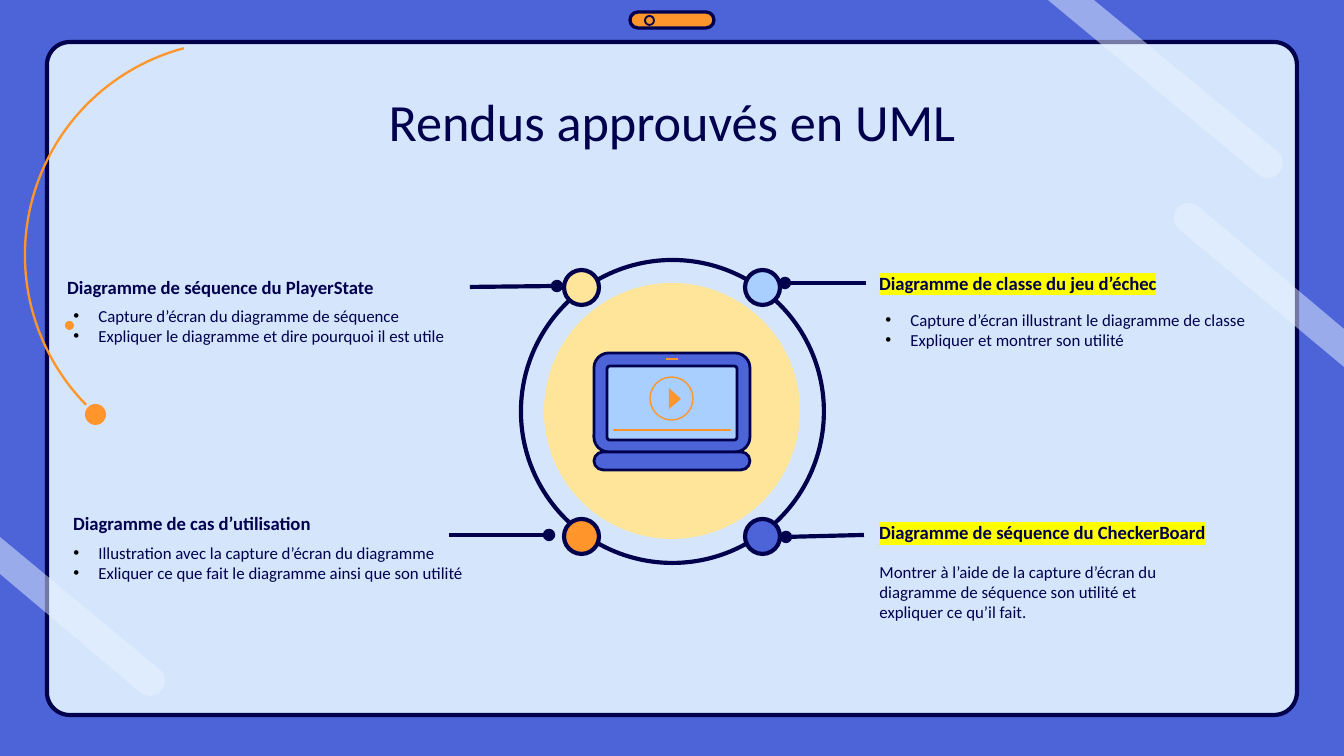
import math

from pptx import Presentation
from pptx import util as u
from pptx.dml.color import RGBColor
from pptx.enum import shapes, text
from pptx.oxml import ns
from lxml import etree

NAVY = RGBColor(0x00, 0x00, 0x4D)
BLUE = RGBColor(0x4C, 0x64, 0xD8)
SKY = RGBColor(0xA8, 0xCF, 0xFF)
PALE = RGBColor(0xD5, 0xE6, 0xFC)
GLOSS = RGBColor(0xE9, 0xF3, 0xFF)
ORANGE = RGBColor(0xFF, 0x95, 0x2B)
CREAM = RGBColor(0xFF, 0xE5, 0x99)
YELLOW = RGBColor(0xFF, 0xFF, 0x00)
BLACK = RGBColor(0x00, 0x00, 0x00)
PX = 914400 / 134.4
KIND = shapes.MSO_SHAPE
SIDES = ("left", "top", "width", "height")


def style(sp, fill, line=None, weight=0):
    sp.shadow.inherit = False
    if fill is None:
        sp.fill.background()
    else:
        sp.fill.solid()
        sp.fill.fore_color.rgb = fill
    if line is None:
        sp.line.fill.background()
    else:
        sp.line.color.rgb = line
        sp.line.width = u.Pt(weight)


def write(sp, box, lines, size, bold=False, align=text.PP_ALIGN.LEFT, bullet=False):
    for side, value in zip(SIDES, box):
        setattr(sp, side, round(value * PX))
    tf = sp.text_frame
    frame = {"word_wrap": True, "auto_size": text.MSO_AUTO_SIZE.NONE,
             "vertical_anchor": text.MSO_ANCHOR.MIDDLE}
    frame.update({f"margin_{m}": u.Inches(0.1) for m in ("left", "right", "top", "bottom")})
    for name, value in frame.items():
        setattr(tf, name, value)
    for i, line in enumerate(lines):
        p = tf.add_paragraph() if i else tf.paragraphs[0]
        for name, value in {"alignment": align, "space_before": u.Pt(0), "line_spacing": 1.0}.items():
            setattr(p, name, value)
        r = p.add_run()
        r.text = line
        for name, value in {"name": "Calibri", "size": u.Pt(size), "bold": bold}.items():
            setattr(r.font, name, value)
        r.font.color.rgb = NAVY
        pPr = p._p.get_or_add_pPr()
        indent = round(25 * PX) if bullet else 0
        pPr.set("marL", str(indent))
        pPr.set("indent", str(-indent))
        if bullet:
            color = etree.SubElement(pPr, ns.qn("a:buClr"))
            etree.SubElement(color, ns.qn("a:srgbClr"), val=str(BLACK))
            etree.SubElement(pPr, ns.qn("a:buFont"), typeface="Arial")
            etree.SubElement(pPr, ns.qn("a:buChar"), char="•")
        else:
            etree.SubElement(pPr, ns.qn("a:buNone"))


prs = Presentation()
prs.slide_width, prs.slide_height = round(1344 * PX), round(756 * PX)
s = prs.slides.add_slide(prs.slide_layouts[4])
s.background.fill.solid()
s.background.fill.fore_color.rgb = BLUE

backdrop = [
    (KIND.ROUNDED_RECTANGLE, (47, 42, 1250, 673), [0.034], PALE, NAVY, 2.25),
    (KIND.ROUNDED_RECTANGLE, (630, 12, 84, 16), [0.5], ORANGE, NAVY, 1.75),
    (KIND.OVAL, (645, 16, 9, 9), [], None, NAVY, 1),
    (KIND.ARC, (25, 41, 428, 428), [135.6 * 0.6, 255.1 * 0.6], None, ORANGE, 1.25),
    (KIND.OVAL, (65, 321, 9, 9), [], ORANGE, None, 0),
    (KIND.OVAL, (85, 404, 21, 21), [], ORANGE, None, 0),
]
emblem = [
    (KIND.OVAL, (544, 283, 256, 256), [], CREAM, None, 0),
    (KIND.OVAL, (521, 260, 303, 303), [], None, NAVY, 2.25),
    (KIND.ROUNDED_RECTANGLE, (594, 353, 156, 99), [0.15], BLUE, NAVY, 1.5),
    (KIND.ROUNDED_RECTANGLE, (607, 366, 130, 74), [0.04], SKY, NAVY, 1.5),
    (KIND.OVAL, (650, 377, 43, 43), [], None, ORANGE, 0.75),
    (KIND.ROUNDED_RECTANGLE, (594, 452, 156, 18), [0.5], BLUE, NAVY, 1.5),
]
nodes = [(KIND.OVAL, (x, y, 35, 35), [], color, NAVY, 2.25)
         for x, y, color in [(564, 270, CREAM), (745, 270, SKY),
                             (564, 519, ORANGE), (745, 519, BLUE)]]

for kind, box, adjustments, fill, line, weight in backdrop + emblem:
    sp = s.shapes.add_shape(kind, *(round(v * PX) for v in box))
    for i, value in enumerate(adjustments):
        sp.adjustments[i] = value
    style(sp, fill, line, weight)

stripes = [
    ((1048, 0), (1268, 163), 40, (1094, 0)),
    ((0, 574), (150, 681), 40, (0, 537)),
    ((1344, 329), (1189, 218), 220, (1344, 367)),
]
outlines = [([(669, 388), (669, 409), (681, 399)], ORANGE)]
for start, (cx, cy), facing, end in stripes:
    turns = [math.radians(facing + 90 - 15 * i) for i in range(13)]
    cap = [(cx + 15 * math.cos(a), cy + 15 * math.sin(a)) for a in turns]
    outlines.append(([start, *cap, end], GLOSS))
for points, fill in outlines:
    points = [(round(x * PX), round(y * PX)) for x, y in points]
    builder = s.shapes.build_freeform(*points[0], scale=1.0)
    builder.add_line_segments(points[1:], close=True)
    sp = builder.convert_to_shape()
    style(sp, fill)
    if fill == GLOSS:
        color = sp._element.spPr.find(".//" + ns.qn("a:srgbClr"))
        etree.SubElement(color, ns.qn("a:alpha"), val="50000")

title, *bodies = s.placeholders
s.shapes._spTree.append(title._element)
write(title, (106, 78, 1132, 85), ["Rendus approuvés en UML"], 28, align=text.PP_ALIGN.CENTER)

topics = [
    ("Diagramme de séquence du PlayerState", (54, 270, 416, 34), False,
     ["Capture d’écran du diagramme de séquence",
      "Expliquer le diagramme et dire pourquoi il est utile"], (60, 298, 417, 55)),
    ("Diagramme de classe du jeu d’échec", (866, 263, 365, 40), True,
     ["Capture d’écran illustrant le diagramme de classe",
      "Expliquer et montrer son utilité"], (872, 296, 422, 68)),
    ("Diagramme de cas d’utilisation", (60, 506, 356, 35), False,
     ["Illustration avec la capture d’écran du diagramme",
      "Exliquer ce que fait le diagramme ainsi que son utilité"], (60, 530, 458, 66)),
    ("Diagramme de séquence du CheckerBoard", (866, 515, 422, 34), True,
     ["Montrer à l’aide de la capture d’écran du diagramme de séquence "
      "son utilité et expliquer ce qu’il fait."], (866, 548, 305, 88)),
]
headings = []
for body, (heading, heading_box, marked, lines, body_box) in zip(bodies, topics):
    s.shapes._spTree.append(body._element)
    write(body, body_box, lines, 9, bullet=len(lines) > 1)
    sp = s.shapes.add_textbox(0, 0, 0, 0)
    write(sp, heading_box, [heading], 10, bold=True)
    headings.append(sp)
    if marked:
        rPr = sp.text_frame.paragraphs[0].runs[0]._r.rPr
        mark = etree.Element(ns.qn("a:highlight"))
        etree.SubElement(mark, ns.qn("a:srgbClr"), val=str(YELLOW))
        rPr.find(ns.qn("a:solidFill")).addnext(mark)

lines = [
    ((470, 288, 557, 286), NAVY, 2.25, headings[0], 3),
    ((866, 283, 785, 283), NAVY, 2.25, headings[1], 1),
    ((449, 535, 549, 535), NAVY, 2.25, None, 0),
    ((864, 535, 786, 537), NAVY, 2.25, None, 0),
    ((613, 430, 731, 430), ORANGE, 0.75, None, 0),
    ((666, 359, 678, 359), ORANGE, 0.75, None, 0),
]
for ends, color, weight, heading, side in lines:
    link = s.shapes.add_connector(shapes.MSO_CONNECTOR.STRAIGHT, *(round(v * PX) for v in ends))
    if heading is not None:
        link.begin_connect(heading, side)
    link.line.color.rgb = color
    link.line.width = u.Pt(weight)
    if color == NAVY:
        etree.SubElement(link.line._get_or_add_ln(), ns.qn("a:tailEnd"), type="oval")
    etree.SubElement(link._element.spPr, ns.qn("a:effectLst"))

for kind, box, adjustments, fill, line, weight in nodes:
    sp = s.shapes.add_shape(kind, *(round(v * PX) for v in box))
    style(sp, fill, line, weight)

prs.save("out.pptx")
